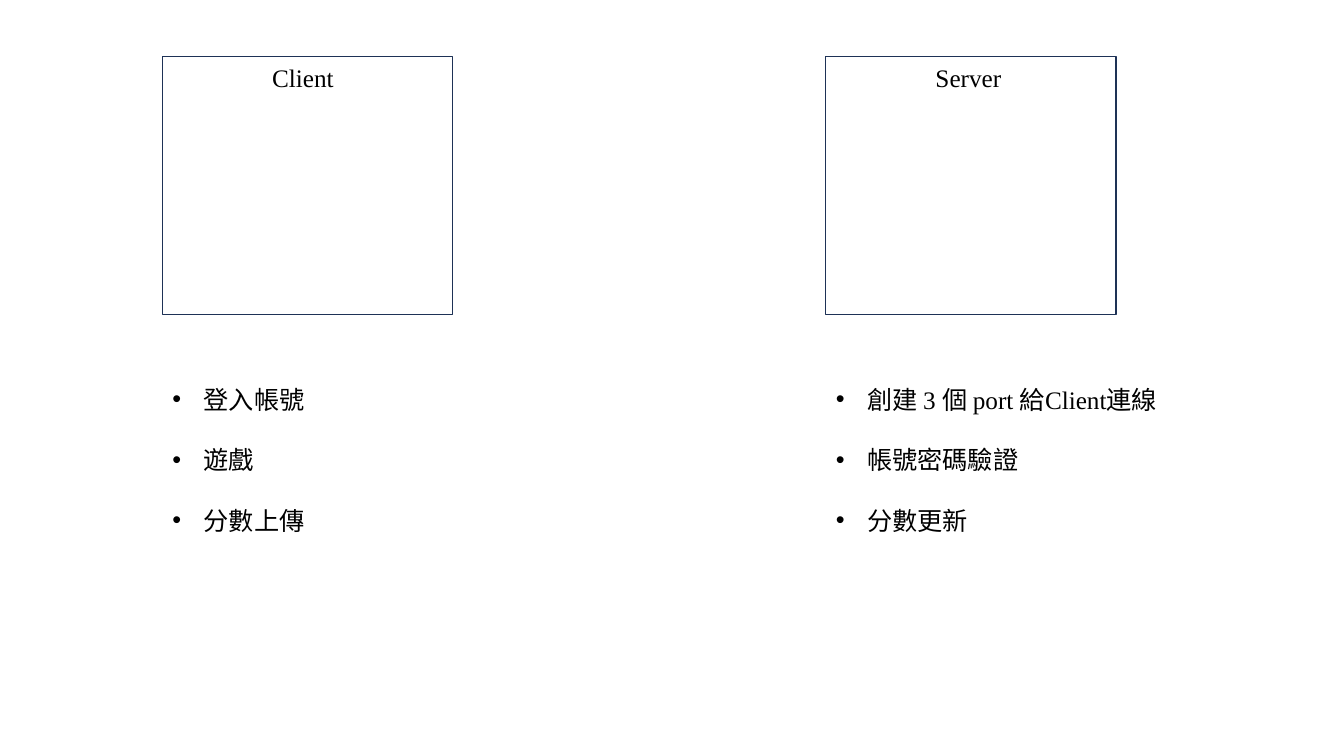
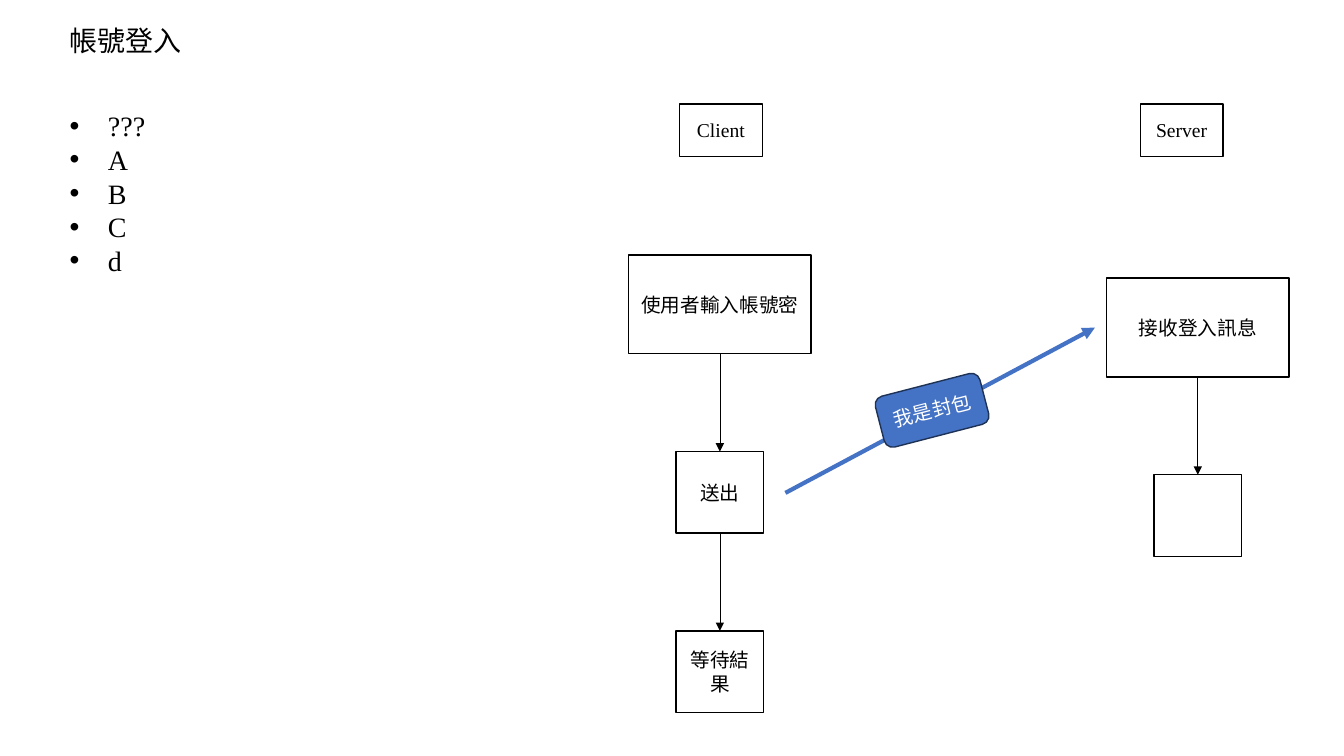
from dataclasses import dataclass

from lxml import etree
from pptx import Presentation
from pptx.dml.color import RGBColor
from pptx.enum.shapes import MSO_CONNECTOR, MSO_SHAPE
from pptx.enum.text import MSO_ANCHOR, MSO_AUTO_SIZE, PP_ALIGN
from pptx.oxml.ns import qn
from pptx.util import Inches, Pt

RECTANGLE = MSO_SHAPE.RECTANGLE
ROUNDED = MSO_SHAPE.ROUNDED_RECTANGLE
STRAIGHT = MSO_CONNECTOR.STRAIGHT
TOP, MIDDLE = MSO_ANCHOR.TOP, MSO_ANCHOR.MIDDLE
LEFT, CENTER = PP_ALIGN.LEFT, PP_ALIGN.CENTER
NO_AUTOFIT = MSO_AUTO_SIZE.NONE
TWO_CONTENT, TITLE_AND_CONTENT = 3, 1
TOP_SITE, BOTTOM_SITE = 0, 2


@dataclass(frozen=True)
class Theme:
    """Colours, type sizes and line widths shared by the slides."""
    font: str = "Times New Roman"
    black: RGBColor = RGBColor(0x00, 0x00, 0x00)
    white: RGBColor = RGBColor(0xFF, 0xFF, 0xFF)
    blue: RGBColor = RGBColor(0x44, 0x72, 0xC4)
    navy: RGBColor = RGBColor(0x1E, 0x32, 0x56)
    title_size: int = 20
    text_size: int = 18
    box_size: int = 14
    line_factor: float = 1.2
    outline: float = 1
    thin_arrow: float = 0.5
    thick_arrow: float = 3


class Deck:
    """Draws styled elements on the current slide."""

    def __init__(self, theme):
        self.theme = theme
        self.presentation = Presentation()
        self.presentation.slide_width = Inches(13.33)
        self.presentation.slide_height = Inches(7.5)
        self.slide = None

    def new_slide(self, layout):
        layouts = self.presentation.slide_layouts
        self.slide = self.presentation.slides.add_slide(layouts[layout])

    def place(self, shape, left, top, width, height):
        shape.left, shape.top = Inches(left), Inches(top)
        shape.width, shape.height = Inches(width), Inches(height)

    def add_text(self, paragraph, text, size, color, align=LEFT):
        paragraph.alignment = align
        run = paragraph.add_run()
        run.text = text
        run.font.name = self.theme.font
        run.font.size = Pt(size)
        run.font.color.rgb = color

    def set_frame(self, frame, anchor):
        frame.word_wrap = True
        frame.auto_size = NO_AUTOFIT
        frame.vertical_anchor = anchor

    def title(self, text, left, top, width, height):
        title = self.slide.shapes.title
        self.place(title, left, top, width, height)
        self.set_frame(title.text_frame, TOP)
        self.add_text(title.text_frame.paragraphs[0], text,
                      self.theme.title_size, self.theme.black)

    def remove_title(self):
        element = self.slide.shapes.title.element
        element.getparent().remove(element)

    def bullets(self, index, items, left, top, width, height, size, indent, gap=0):
        body = self.slide.placeholders[index]
        self.place(body, left, top, width, height)
        frame = body.text_frame
        self.set_frame(frame, TOP)
        for number, item in enumerate(items):
            paragraph = frame.add_paragraph() if number else frame.paragraphs[0]
            paragraph.space_before = Pt(gap if number else 0)
            paragraph.line_spacing = Pt(size * self.theme.line_factor)
            properties = paragraph._p.get_or_add_pPr()
            properties.set("marL", str(Inches(indent)))
            properties.set("indent", str(-Inches(indent)))
            self.add_text(paragraph, item, size, self.theme.black)

    def label(self, text, left, top, width, height):
        label = self.slide.shapes.add_textbox(
            Inches(left), Inches(top), Inches(width), Inches(height))
        self.set_frame(label.text_frame, TOP)
        self.add_text(label.text_frame.paragraphs[0], text,
                      self.theme.text_size, self.theme.black)

    def box(self, left, top, width, height, fill, line, kind=RECTANGLE):
        shape = self.slide.shapes.add_shape(
            kind, Inches(left), Inches(top), Inches(width), Inches(height))
        shape.shadow.inherit = False
        if fill is None:
            shape.fill.background()
        else:
            shape.fill.solid()
            shape.fill.fore_color.rgb = fill
        shape.line.color.rgb = line
        shape.line.width = Pt(self.theme.outline)
        return shape

    def fill_text(self, shape, text, color):
        self.set_frame(shape.text_frame, MIDDLE)
        self.add_text(shape.text_frame.paragraphs[0], text,
                      self.theme.box_size, color, CENTER)

    def step(self, text, center, top, width, height):
        shape = self.box(center - width / 2, top, width, height,
                         self.theme.white, self.theme.black)
        if text:
            self.fill_text(shape, text, self.theme.black)
        return shape

    def packet(self, text, left, top, width, height, rotation):
        shape = self.box(left, top, width, height,
                         self.theme.blue, self.theme.navy, ROUNDED)
        shape.rotation = rotation
        self.fill_text(shape, text, self.theme.white)

    def arrow(self, start, end, color, width):
        arrow = self.slide.shapes.add_connector(
            STRAIGHT, *(Inches(value) for value in (*start, *end)))
        arrow.line.color.rgb = color
        arrow.line.width = Pt(width)
        properties = arrow.element.spPr
        outline = properties.find(qn("a:ln"))
        etree.SubElement(outline, qn("a:tailEnd"), type="triangle")
        etree.SubElement(properties, qn("a:effectLst"))
        return arrow

    def flow(self, center, top, steps, gap):
        previous = None
        for text, (width, height) in steps:
            shape = self.step(text, center, top, width, height)
            if previous is not None:
                arrow = self.arrow((center, top - gap), (center, top),
                                   self.theme.black, self.theme.thin_arrow)
                arrow.begin_connect(previous, BOTTOM_SITE)
                arrow.end_connect(shape, TOP_SITE)
            previous = shape
            top += height + gap


def overview_slide(deck):
    """Build the client and server overview."""
    deck.new_slide(TWO_CONTENT)
    deck.remove_title()
    columns = [
        (1, 1.61, "Client", ["登入帳號", "遊戲", "分數上傳"]),
        (2, 8.19, "Server", ["創建 3 個 port 給Client連線", "帳號密碼驗證", "分數更新"]),
    ]
    for index, left, name, duties in columns:
        deck.box(left, 0.56, 2.88, 2.56, None, deck.theme.navy)
        deck.label(name, left + 0.99, 0.57, 0.89, 0.4)
        deck.bullets(index, duties, left, 3.76, 4.5, 1.62,
                     deck.theme.text_size, 0.31, gap=21.6)


def login_slide(deck):
    """Build the account login flow."""
    theme = deck.theme
    deck.new_slide(TITLE_AND_CONTENT)
    deck.title("帳號登入", 0.59, 0.18, 3.91, 0.44)
    deck.bullets(1, ["???", "A", "B", "C", "d"], 0.59, 1.03, 3.91, 1.78,
                 theme.title_size, 0.38)
    for name, center in (("Client", 7.15), ("Server", 11.72)):
        deck.step(name, center, 1.03, 0.82, 0.52)
    wide, small = (1.81, 0.98), (0.87, 0.81)
    client_steps = [("使用者輸入帳號密", wide), ("送出", small), ("等待結果", small)]
    server_steps = [("接收登入訊息", wide), ("", small)]
    deck.flow(7.14, 2.53, client_steps, 0.97)
    deck.flow(11.88, 2.76, server_steps, 0.97)
    deck.arrow((7.79, 4.89), (10.86, 3.25), theme.blue, theme.thick_arrow)
    deck.packet("我是封包", 8.71, 3.81, 1.07, 0.52, 345.5)


def main():
    """Build and save the presentation."""
    deck = Deck(Theme())
    overview_slide(deck)
    login_slide(deck)
    deck.presentation.save("out.pptx")


main()
